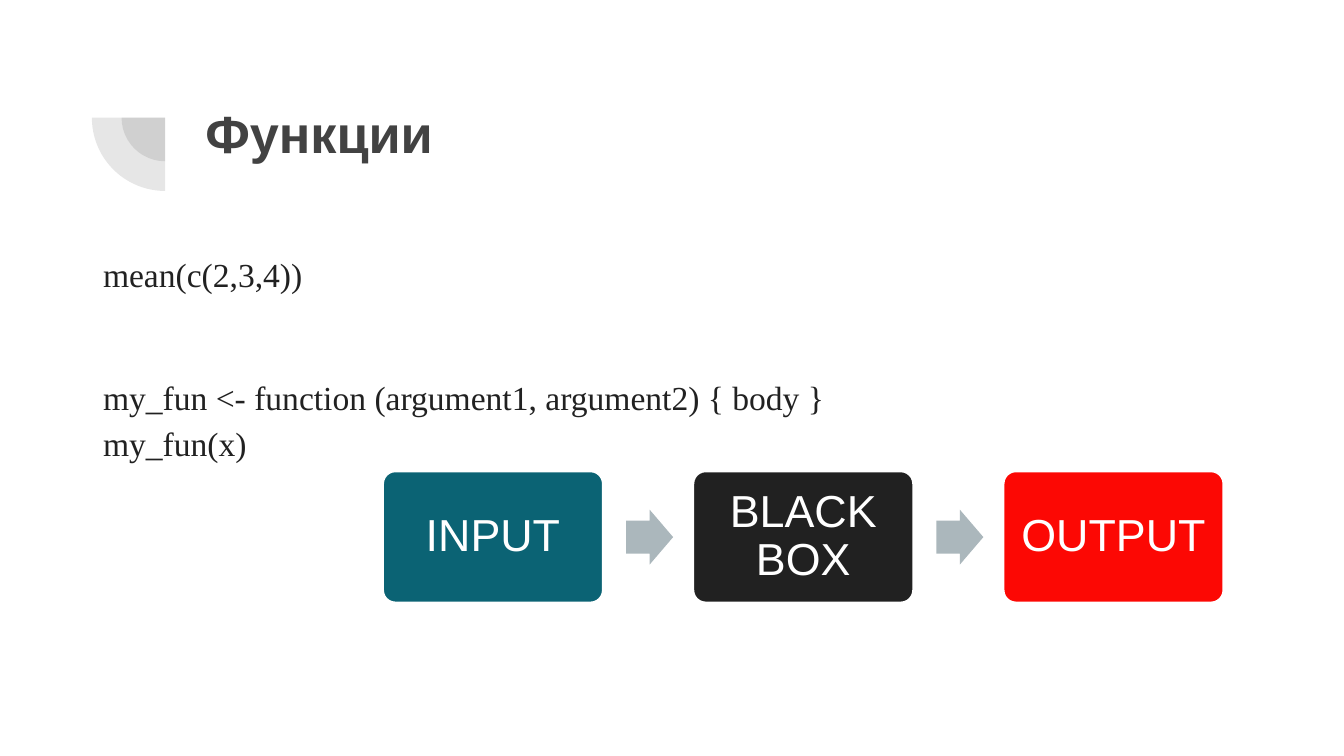
from lxml.etree import SubElement
from pptx import Presentation
from pptx.dml.color import RGBColor as RGB
from pptx.enum.shapes import MSO_SHAPE as Shape
from pptx.enum.text import MSO_ANCHOR as Anchor, MSO_AUTO_SIZE as AutoSize, PP_ALIGN as Align
from pptx.oxml.ns import qn
from pptx.util import Pt

COLORS = {
    "title": "424242", "code": "212121", "label": "FFFFFF", "border": "FFFFFF",
    "arrow": "ABB7BC", "input": "0B6374", "black_box": "212121", "output": "FC0804",
}
STAGES = [("INPUT", "input"), ("BLACK BOX", "black_box"), ("OUTPUT", "output")]
CODE = [
    ("mean(c(2,3,4))", 41),
    ("my_fun <- function (argument1, argument2) { body }\vmy_fun(x)", 0),
]

TITLE_FONT = {"name": "Arial", "size": Pt(28), "bold": True}
CODE_FONT = {"name": "Times New Roman", "size": Pt(18)}
LABEL_FONT = {"name": "Arial", "size": Pt(24)}


def apply(target, values):
    for name, value in values.items():
        setattr(target, name, value)


def set_frame(frame, anchor, inset):
    apply(frame, {"word_wrap": True, "auto_size": AutoSize.NONE, "vertical_anchor": anchor})
    apply(frame, {f"margin_{side}": Pt(inset) for side in ("left", "top", "right", "bottom")})


def write(paragraph, text, font, color, layout):
    paragraph.text = text
    apply(paragraph, {"space_before": Pt(0), **layout})
    for run in paragraph.runs:
        apply(run.font, font)
        run.font.color.rgb = RGB.from_string(COLORS[color])


def place(placeholder, left, top, width, height):
    apply(placeholder, {"left": Pt(left), "top": Pt(top),
                        "width": Pt(width), "height": Pt(height)})
    set_frame(placeholder.text_frame, Anchor.TOP, 7.2)
    return placeholder.text_frame


def add_figure(slide, kind, box, color, adjustments):
    figure = slide.shapes.add_shape(kind, *map(Pt, box))
    figure.shadow.inherit = False
    figure.fill.solid()
    figure.fill.fore_color.rgb = RGB.from_string(COLORS[color])
    figure.line.fill.background()
    for index, value in enumerate(adjustments):
        figure.adjustments[index] = value
    return figure


def add_quarter(slide, center_x, center_y, radius):
    box = (center_x - radius, center_y - radius, 2 * radius, 2 * radius)
    quarter = add_figure(slide, Shape.PIE, box, "title", (108, 162))
    quarter.rotation = 270
    tint = quarter._element.spPr.find(f"{qn('a:solidFill')}/{qn('a:srgbClr')}")
    SubElement(tint, qn("a:alpha"), val="13000")


def add_stage(slide, left, label, color):
    stage = add_figure(slide, Shape.ROUNDED_RECTANGLE, (left, 252, 118.8, 71.3), color, (0.1,))
    stage.line.color.rgb = RGB.from_string(COLORS["border"])
    stage.line.width = Pt(2)
    set_frame(stage.text_frame, Anchor.MIDDLE, 5)
    write(stage.text_frame.paragraphs[0], label, LABEL_FONT, "label",
          {"alignment": Align.CENTER, "line_spacing": 0.9})


def add_code(body):
    for index, (code, gap) in enumerate(CODE):
        paragraph = body.add_paragraph() if index else body.paragraphs[0]
        write(paragraph, code, CODE_FONT, "code",
              {"alignment": Align.LEFT, "line_spacing": 1.15, "space_after": Pt(gap)})
        # No bullet and no hanging indent
        properties = paragraph._p.get_or_add_pPr()
        properties.set("marL", "0")
        properties.set("indent", "0")
        SubElement(properties, qn("a:buNone"))


def main():
    deck = Presentation()
    deck.slide_width, deck.slide_height = Pt(720), Pt(405)
    slide = deck.slides.add_slide(deck.slide_layouts[1])

    # Corner ornament
    for radius in (23.4, 39.3):
        add_quarter(slide, 88.5, 63, radius)

    # Title and code lines
    title = place(slide.shapes.title, 102.8, 46.8, 553.7, 78.5)
    write(title.paragraphs[0], "Функции", TITLE_FONT, "title", {"alignment": Align.LEFT})
    add_code(place(slide.placeholders[1], 48, 125.5, 553.7, 200))

    # Process from input to output
    first_left, step = 204.7, 166.2
    for index, (label, color) in enumerate(STAGES):
        left = first_left + index * step
        if index:
            add_figure(slide, Shape.RIGHT_ARROW, (left - 35.5, 273, 25.2, 29.5),
                       "arrow", (0.6, 0.5))
        add_stage(slide, left, label, color)

    deck.save("out.pptx")


main()
